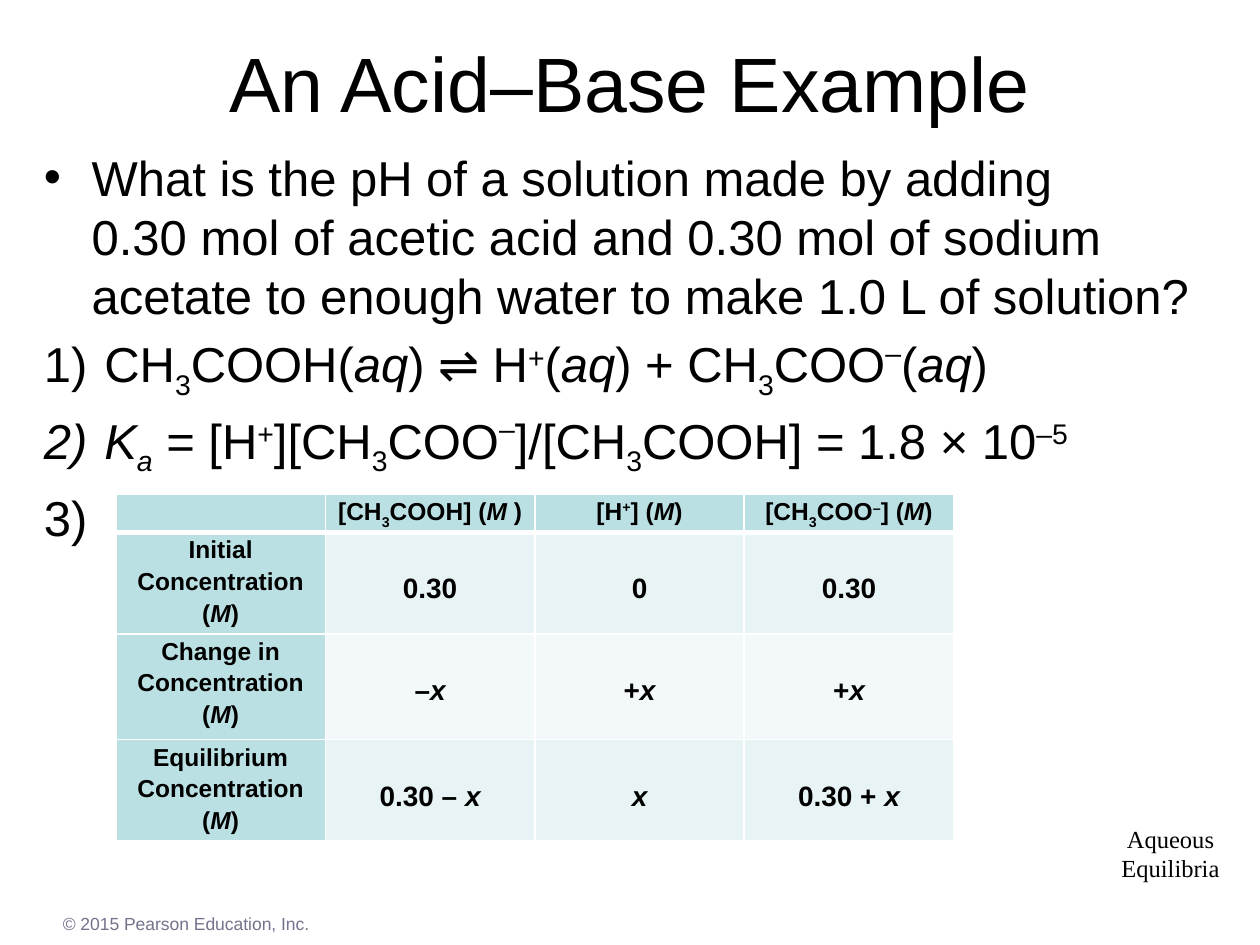
from lxml.etree import SubElement
from pptx import Presentation
from pptx.dml.color import RGBColor
from pptx.enum.text import MSO_ANCHOR, PP_ALIGN
from pptx.oxml.ns import qn
from pptx.util import Inches, Pt

BLACK = "000000"
WHITE = "FFFFFF"
TEAL = "BBE0E3"
PALE_TEAL = "E7F3F4"
PALER_TEAL = "F3F9FA"
GREY = "73738C"

SUB = -25000
SUP = 30000
HIGH = 40000
AQ = [("(",), ("aq", 0, True), (")",)]
MOLAR = [("(",), ("M", 0, True), (")",)]
X = ("x", 0, True)
ACID = [("CH",), ("3", SUB), ("COOH",)]
PROTON = [("H",), ("+", SUP)]


def acetate(raised):
    return [("CH",), ("3", SUB), ("COO",), ("–", raised)]


def color(value):
    return RGBColor.from_string(value)


def write_runs(paragraph, pieces, size, name="Arial", fill=BLACK, bold=False):
    for text, baseline, italic in ((*piece, 0, False)[:3] for piece in pieces):
        for index, line in enumerate(text.split("\n")):
            if index:
                paragraph.add_line_break()
            run = paragraph.add_run()
            run.text = line
            run.font.size = Pt(size)
            run.font.name = name
            run.font.bold = bold
            run.font.italic = italic
            run.font.color.rgb = color(fill)
            if baseline:
                run.font._element.set("baseline", str(baseline))


def write_lines(text_frame, lines, size, align, spacing=None, **style):
    for index, pieces in enumerate(lines):
        paragraph = text_frame.add_paragraph() if index else text_frame.paragraphs[0]
        paragraph.alignment = align
        if spacing:
            paragraph.line_spacing = spacing
        write_runs(paragraph, pieces, size, **style)


def add_text(slide, box, lines, size, align=PP_ALIGN.LEFT, **style):
    shape = slide.shapes.add_textbox(*map(Inches, box))
    shape.text_frame.word_wrap = True
    write_lines(shape.text_frame, lines, size, align, **style)
    return shape


def add_title(slide, box):
    shape = add_text(slide, box, [[("An Acid–Base Example",)]], 44, PP_ALIGN.CENTER)
    shape.text_frame.vertical_anchor = MSO_ANCHOR.MIDDLE


def set_bullet(paragraph, indent, tag, **attributes):
    properties = paragraph._p.get_or_add_pPr()
    properties.set("marL", str(Inches(indent)))
    properties.set("indent", str(-Inches(indent)))
    SubElement(properties, qn("a:buFont"), typeface="Arial")
    SubElement(properties, qn(tag), **attributes)


def add_question(slide, box):
    question = (
        "What is the pH of a solution made by adding \n0.30 mol of acetic acid and "
        "0.30 mol of sodium acetate to enough water to make 1.0 L of solution?"
    )
    dissociation = [*ACID, *AQ, (" ⇌ ",), *PROTON, *AQ, (" + ",), *acetate(HIGH), *AQ]
    constant = [
        ("K", 0, True), ("a", SUB, True), (" = [",), *PROTON, ("][",),
        *acetate(HIGH), ("]/[",), *ACID, ("] = 1.8 × 10",), ("–5", SUP),
    ]
    lines = [[(question,)], dissociation, constant, [(" ",)]]
    shape = add_text(slide, box, lines, 28)
    shape.text_frame.margin_top = Inches(0.09)
    first, *steps = shape.text_frame.paragraphs
    set_bullet(first, 0.38, "a:buChar", char="•")
    for paragraph in steps:
        paragraph.space_before = Pt(5.6)
        set_bullet(paragraph, 0.48, "a:buAutoNum", type="arabicParenR")


def set_borders(cell, widths):
    properties = cell._tc.get_or_add_tcPr()
    for index, (side, width) in enumerate(widths.items()):
        line = properties.makeelement(qn(f"a:{side}"), {"w": str(Pt(width))})
        SubElement(SubElement(line, qn("a:solidFill")), qn("a:srgbClr"), val=WHITE)
        properties.insert(index, line)


def add_concentrations(slide, box):
    headers = [
        [],
        [("[",), *ACID, ("] (",), ("M", 0, True), (" )",)],
        [("[",), *PROTON, ("] ",), *MOLAR],
        [("[",), *acetate(SUP), ("] ",), *MOLAR],
    ]
    stages = [
        ("Initial", [("0.30",)], [("0",)], [("0.30",)]),
        ("Change in", [("–",), X], [("+",), X], [("+",), X]),
        ("Equilibrium", [("0.30 – ",), X], [X], [("0.30 + ",), X]),
    ]
    rows = [[[header] for header in headers]]
    for name, *values in stages:
        label = [[(name,)], [("Concentration",)], MOLAR]
        rows.append([label, *([value] for value in values)])

    table = slide.shapes.add_table(len(rows), len(headers), *map(Inches, box)).table
    for column in table.columns:
        column.width = Inches(box[2] / len(headers))
    for row, height in zip(table.rows, (0.29, 0.8, 0.84, 0.8)):
        row.height = Inches(height)

    for row_index, row in enumerate(rows):
        for column_index, lines in enumerate(row):
            cell = table.cell(row_index, column_index)
            is_value = row_index > 0 and column_index > 0
            cell.margin_left = cell.margin_right = Inches(0.07)
            cell.margin_top = Inches(0.29 if is_value else 0)
            cell.margin_bottom = 0
            cell.text_frame.paragraphs[0].font.size = Pt(14)
            write_lines(cell.text_frame, lines, 16 if is_value else 14,
                        PP_ALIGN.CENTER, spacing=1.15, bold=True)
            banding = PALE_TEAL if row_index % 2 else PALER_TEAL
            cell.fill.solid()
            cell.fill.fore_color.rgb = color(banding if is_value else TEAL)
            set_borders(cell, {
                "lnL": 1, "lnR": 1,
                "lnT": 3 if row_index == 1 else 1,
                "lnB": 3 if row_index == 0 else 1,
            })


def add_footer(slide, box):
    left, top, width, height = box
    add_text(slide, (left + 8.4, top, 0.98, 0.57), [[("Aqueous",)], [("Equilibria",)]],
             14, PP_ALIGN.CENTER, name="Times New Roman")
    add_text(slide, (left, top + height - 0.27, width, 0.27),
             [[("© 2015 Pearson Education, Inc.",)]], 10, fill=GREY)


def main():
    presentation = Presentation()
    presentation.slide_width = Inches(10)
    presentation.slide_height = Inches(7.5)
    slide = presentation.slides.add_slide(presentation.slide_layouts[6])
    add_footer(slide, (0.4, 6.49, 9, 0.98))
    add_title(slide, (0, 0.02, 10, 1.25))
    add_question(slide, (0.25, 1.08, 9.5, 3.58))
    add_concentrations(slide, (0.92, 3.92, 6.65, 2.73))
    presentation.save("out.pptx")


if __name__ == "__main__":
    main()
